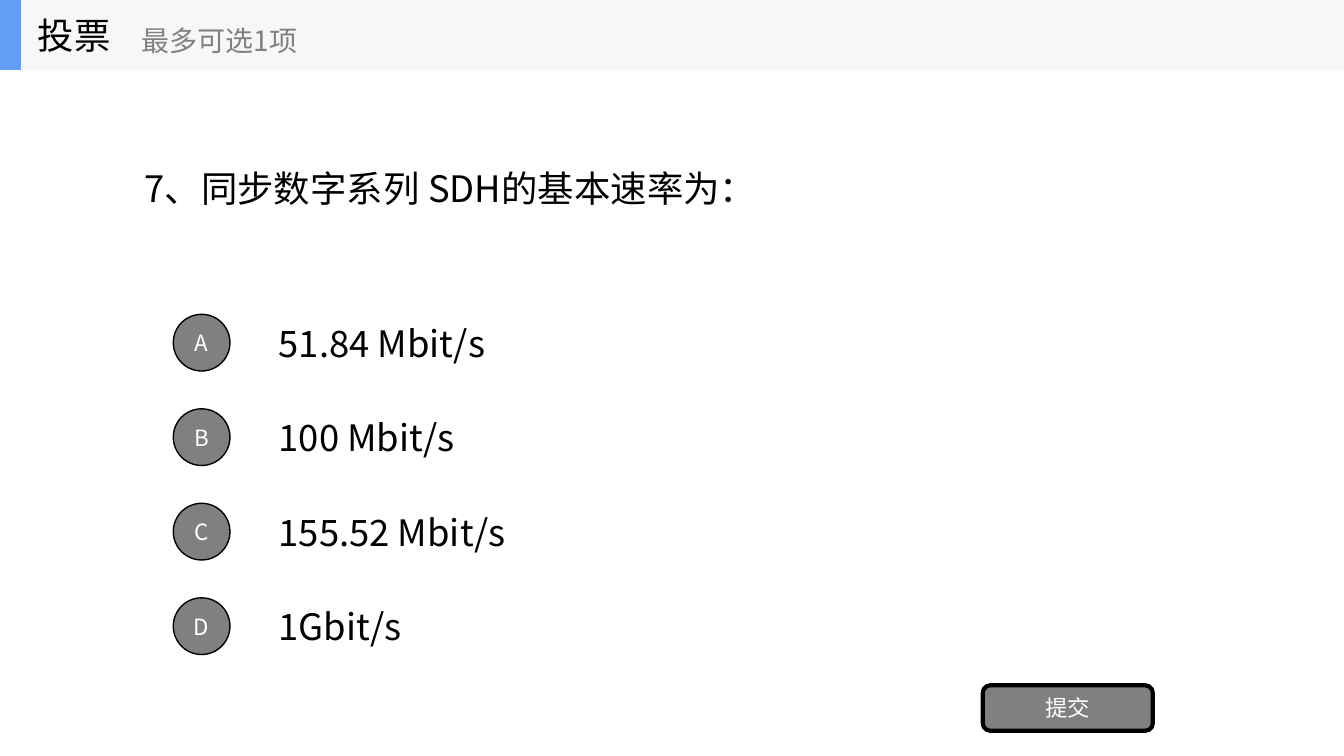
import pptx
import pptx.util
import pptx.dml.color
import pptx.enum.shapes
import pptx.enum.text
import lxml.etree

Pt = pptx.util.Pt
Kind = pptx.enum.shapes.MSO_SHAPE
Align = pptx.enum.text.PP_ALIGN
FONT = "Noto Sans CJK SC"
BLACK, GRAY, WHITE = "000000", "808080", "FFFFFF"


def write(shape, text, size, color, align=Align.LEFT):
    frame = shape.text_frame
    frame.text = text
    frame.word_wrap = True
    frame.auto_size = pptx.enum.text.MSO_AUTO_SIZE.NONE
    frame.vertical_anchor = pptx.enum.text.MSO_ANCHOR.MIDDLE
    para = frame.paragraphs[0]
    para.alignment = align
    font = para.runs[0].font
    font.size = Pt(size)
    font.name = FONT
    font.color.rgb = pptx.dml.color.RGBColor.from_string(color)
    props = para.runs[0]._r.get_or_add_rPr()
    east = lxml.etree.SubElement(props, pptx.oxml.ns.qn("a:ea"))
    east.set("typeface", FONT)


def draw(parent, kind, box, fill, width=0):
    shape = parent.add_shape(kind, *map(Pt, box))
    shape.shadow.inherit = False
    shape.fill.solid()
    shape.fill.fore_color.rgb = pptx.dml.color.RGBColor.from_string(fill)
    if width:
        shape.line.width = Pt(width)
        shape.line.color.rgb = pptx.dml.color.RGBColor.from_string(BLACK)
    else:
        shape.line.fill.background()
    return shape


deck = pptx.Presentation()
deck.slide_width, deck.slide_height = Pt(960), Pt(540)
slide = deck.slides.add_slide(deck.slide_layouts[5])
shapes = slide.shapes

title = shapes.title
title.left, title.top, title.width, title.height = map(Pt, (96, 50, 768, 168))
write(title, "7、同步数字系列 SDH的基本速率为：", 26, BLACK)

rates = ["51.84 Mbit/s", "100 Mbit/s", "155.52 Mbit/s", "1Gbit/s"]
for row, (mark, rate) in enumerate(zip("ABCD", rates)):
    top = 219.5 + 67.5 * row
    label = shapes.add_textbox(Pt(192), Pt(top), Pt(672), Pt(50.5))
    write(label, rate, 26, BLACK)
    badge = draw(shapes, Kind.OVAL, (123.75, top + 5, 40.5, 40.5), GRAY, 1)
    write(badge, mark, 16, WHITE, Align.CENTER)

submit = draw(shapes, Kind.ROUNDED_RECTANGLE, (702, 489.5, 121.5, 32.5), GRAY, 3)
write(submit, "提交", 16, WHITE, Align.CENTER)

header = shapes.add_group_shape().shapes
draw(header, Kind.RECTANGLE, (0, 0, 960, 50), "F6F7F8")
draw(header, Kind.RECTANGLE, (0, 0, 15, 50), "639EF4")
heads = [
    ("投票", 26, BLACK, (20, 0, 150, 50)),
    ("最多可选1项", 20, GRAY, (94, 8.5, 180, 40)),
]
for text, size, color, box in heads:
    write(header.add_textbox(*map(Pt, box)), text, size, color)

deck.save("out.pptx")
